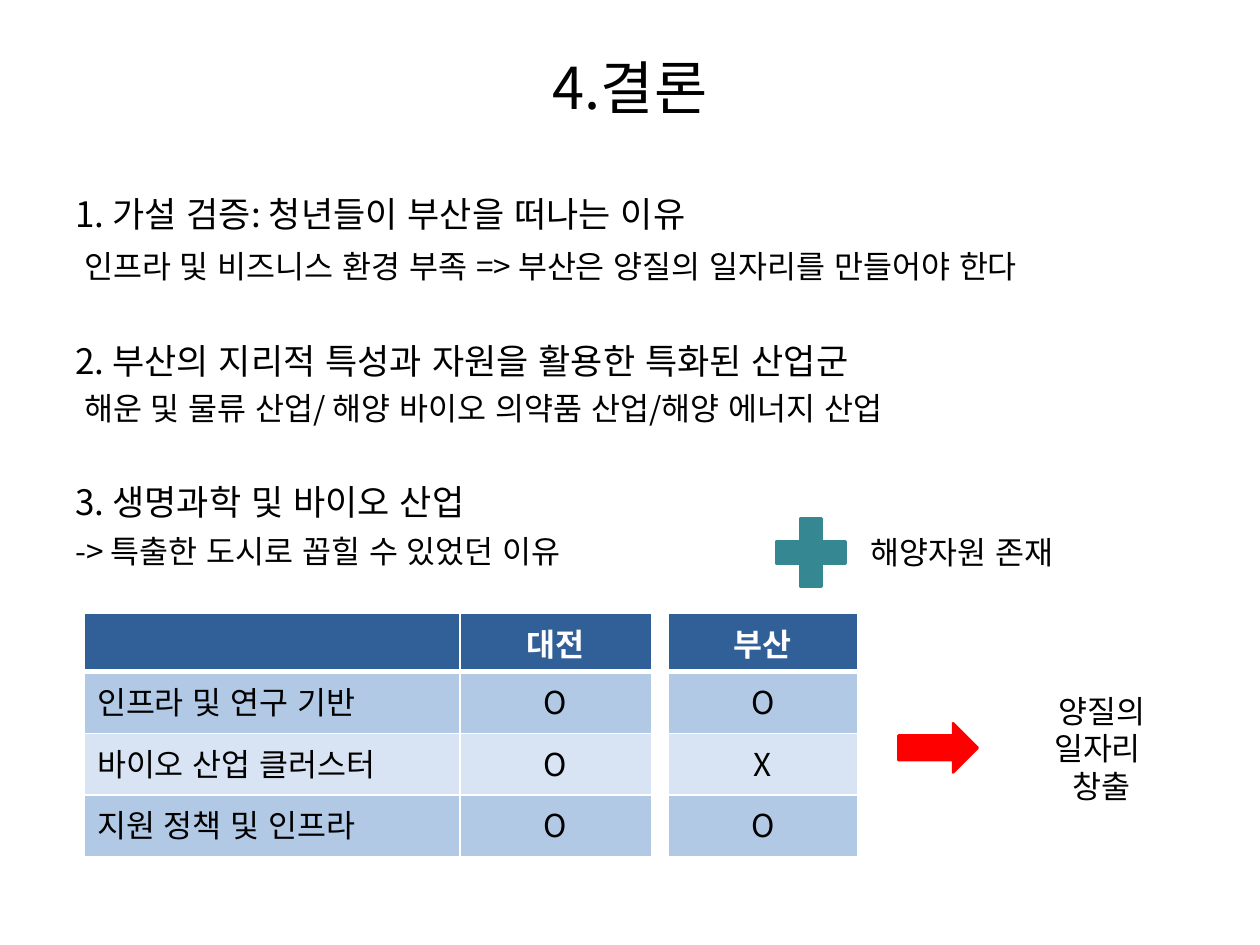
import pptx
import pptx.util
import pptx.dml.color
import pptx.enum.lang
import pptx.enum.shapes
import pptx.enum.text
import pptx.oxml
import pptx.oxml.ns

Inches, Pt = pptx.util.Inches, pptx.util.Pt
RGBColor = pptx.dml.color.RGBColor
SHAPE = pptx.enum.shapes.MSO_SHAPE
ALIGN = pptx.enum.text.PP_ALIGN
ANCHOR = pptx.enum.text.MSO_ANCHOR
KOREAN = pptx.enum.lang.MSO_LANGUAGE_ID.KOREAN

FONT = "Noto Sans CJK KR"
BLACK = RGBColor(0x00, 0x00, 0x00)
WHITE = RGBColor(0xFF, 0xFF, 0xFF)
RED = RGBColor(0xFF, 0x00, 0x00)
TEAL = RGBColor(0x35, 0x87, 0x91)
NAVY = RGBColor(0x31, 0x5F, 0x97)
BLUE = RGBColor(0xB2, 0xC9, 0xE6)
PALE = RGBColor(0xD8, 0xE4, 0xF3)

TITLE = "4.결론"
POINTS = [
    ("1. 가설 검증: 청년들이 부산을 떠나는 이유",
     " 인프라 및 비즈니스 환경 부족 => 부산은 양질의 일자리를 만들어야 한다"),
    ("2. 부산의 지리적 특성과 자원을 활용한 특화된 산업군",
     " 해운 및 물류 산업/ 해양 바이오 의약품 산업/해양 에너지 산업"),
    ("3. 생명과학 및 바이오 산업",
     "-> 특출한 도시로 꼽힐 수 있었던 이유"),
]
POINT_SIZES = (20, 18) * len(POINTS)
POINT_GAPS = (0, 7, 31.5, 4, 31, 5)
DAEJEON = [("", "대전"), ("인프라 및 연구 기반", "O"),
           ("바이오 산업 클러스터", "O"), ("지원 정책 및 인프라", "O")]
BUSAN = [("부산",), ("O",), ("X",), ("O",)]
RESOURCE = ["해양자원 존재"]
RESULT = ["양질의", "일자리 ", "창출"]
TABLES = [(0.67, (2.98, 1.52), DAEJEON), (5.3, (1.51,), BUSAN)]
TABLE_TOP, HEADER_HEIGHT, ROW_HEIGHT = 4.87, 0.46, 0.49
SYMBOLS = [
    (SHAPE.RIGHT_ARROW, (7.13, 5.74, 0.63, 0.39), RED, (0.5, 0.5)),
    (SHAPE.MATH_PLUS, (6.06, 4.02, 0.75, 0.73), TEAL, (0.235,)),
]


def style(para, size, color=BLACK, bold=False, align=ALIGN.LEFT):
    para.alignment = align
    for span in para.runs:
        span.font.size = Pt(size)
        span.font.name = FONT
        span.font.bold = bold
        span.font.color.rgb = color
        span.font.language_id = KOREAN
        span.font._element.set("kern", "0")
        east = pptx.oxml.parse_xml(
            f'<a:ea {pptx.oxml.ns.nsdecls("a")} typeface="{FONT}"/>')
        span.font._element.find(pptx.oxml.ns.qn("a:latin")).addnext(east)


def add_text(page, place, lines, size=18, align=ALIGN.LEFT):
    box = page.shapes.add_textbox(*map(Inches, place))
    box.text_frame.word_wrap = True
    box.text_frame.text = "\n".join(lines)
    for para in box.text_frame.paragraphs:
        style(para, size, align=align)
    return box


def add_points(page):
    lines = [line for point in POINTS for line in point]
    box = add_text(page, (0.5, 1.48, 9, 3.2), lines)
    for para, size, gap in zip(box.text_frame.paragraphs, POINT_SIZES, POINT_GAPS):
        para.space_before = Pt(gap)
        for span in para.runs:
            span.font.size = Pt(size)


def set_borders(cell, is_header):
    props = cell._tc.get_or_add_tcPr()
    for index, side in enumerate("LRTB"):
        width = Pt(3 if is_header and side == "B" else 1)
        props.insert(index, pptx.oxml.parse_xml(
            f'<a:ln{side} {pptx.oxml.ns.nsdecls("a")} w="{width}"><a:solidFill>'
            f'<a:srgbClr val="{WHITE}"/></a:solidFill></a:ln{side}>'))


def add_table(page, left, widths, rows):
    height = HEADER_HEIGHT + ROW_HEIGHT * (len(rows) - 1)
    table = page.shapes.add_table(
        len(rows), len(widths), Inches(left), Inches(TABLE_TOP),
        Inches(sum(widths)), Inches(height)).table
    for column, width in zip(table.columns, widths):
        column.width = Inches(width)
    for r, row in enumerate(rows):
        is_header = r == 0
        table.rows[r].height = Inches(HEADER_HEIGHT if is_header else ROW_HEIGHT)
        for c, words in enumerate(row):
            cell = table.cell(r, c)
            cell.text_frame.text = words
            cell.fill.solid()
            cell.fill.fore_color.rgb = NAVY if is_header else (PALE, BLUE)[r % 2]
            is_label = c < len(row) - 1
            style(cell.text_frame.paragraphs[0], 18,
                  WHITE if is_header else BLACK, is_header,
                  ALIGN.LEFT if is_label else ALIGN.CENTER)
            set_borders(cell, is_header)


def add_symbol(page, kind, place, color, adjustments):
    symbol = page.shapes.add_shape(kind, *map(Inches, place))
    symbol.shadow.inherit = False
    for index, value in enumerate(adjustments):
        symbol.adjustments[index] = value
    symbol.fill.solid()
    symbol.fill.fore_color.rgb = color
    symbol.line.color.rgb = color
    symbol.line.width = Pt(1.5)


def main():
    deck = pptx.Presentation()
    deck.slide_width, deck.slide_height = Inches(10), Inches(7.5)
    page = deck.slides.add_slide(deck.slide_layouts[5])
    title = page.shapes.title
    title.left, title.top, title.width, title.height = map(
        Inches, (0.5, 0.3, 9, 0.77))
    title.text_frame.text = TITLE
    title.text_frame.vertical_anchor = ANCHOR.MIDDLE
    style(title.text_frame.paragraphs[0], 33, align=ALIGN.CENTER)
    add_points(page)
    for table in TABLES:
        add_table(page, *table)
    for symbol in SYMBOLS:
        add_symbol(page, *symbol)
    add_text(page, (6.81, 4.18, 2.13, 0.4), RESOURCE)
    add_text(page, (7.99, 5.44, 1.51, 0.99), RESULT, align=ALIGN.CENTER)
    deck.save("out.pptx")


if __name__ == "__main__":
    main()
